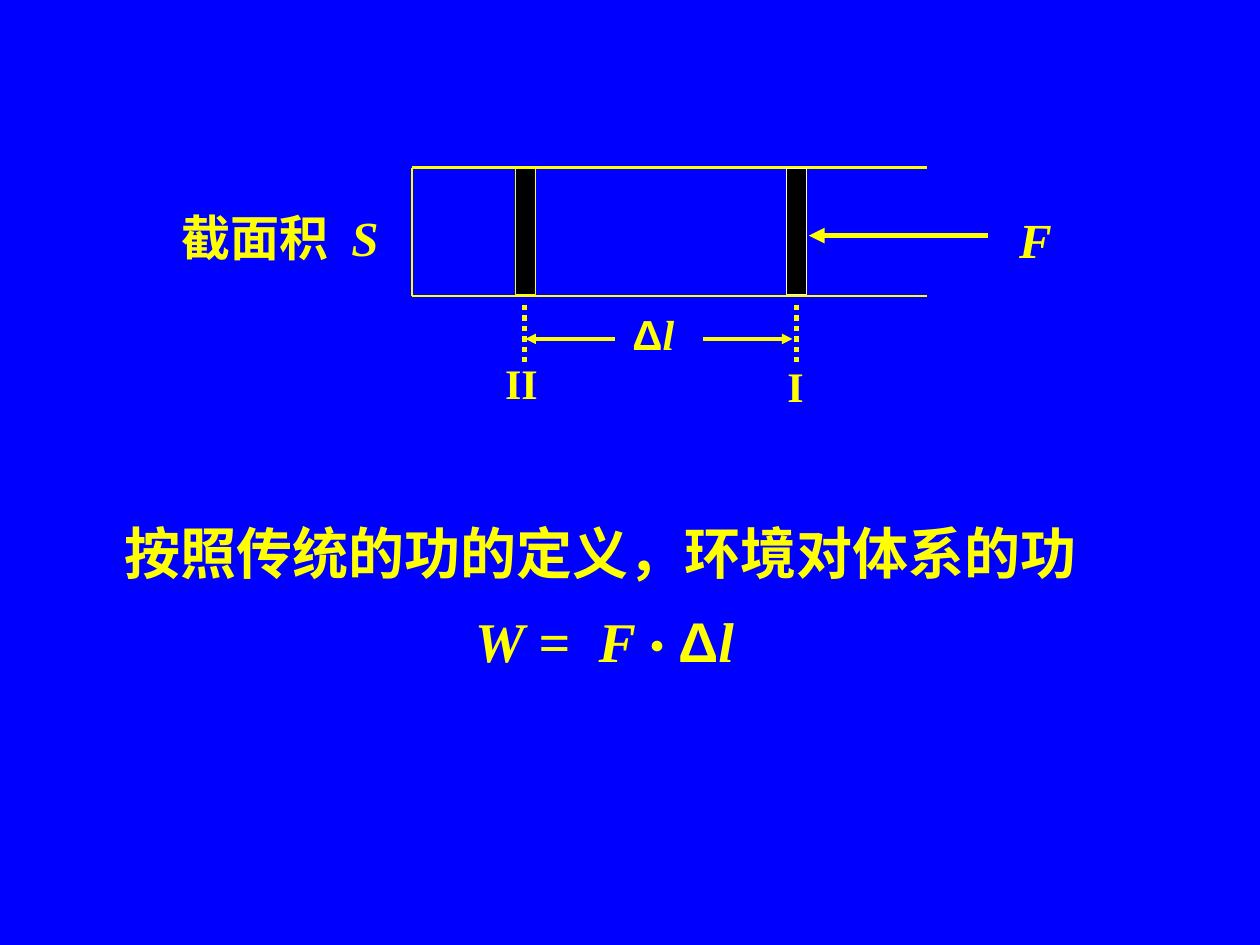
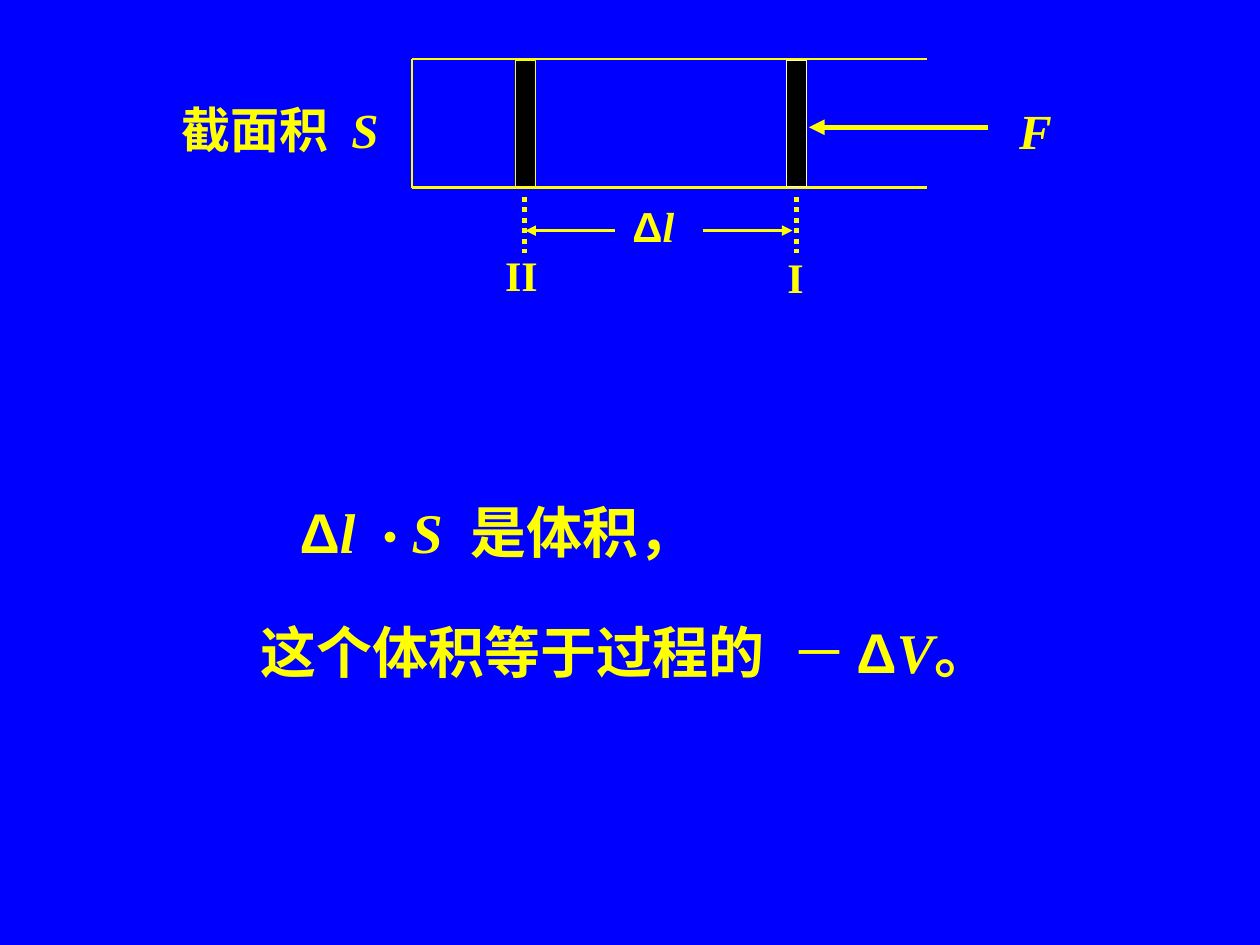
import lxml.etree
import pptx
import pptx.dml.color
import pptx.enum.dml
import pptx.enum.shapes
import pptx.enum.text
import pptx.oxml.ns
import pptx.util

COLORS = {"background": "0000FF", "ink": "FFFF00", "piston": "000000", "pale": "FFFFCC"}
SLIDE_WIDTH = pptx.util.Inches(10)
SLIDE_HEIGHT = pptx.util.Inches(7.5)
COLUMN = SLIDE_WIDTH / 100
ROW = SLIDE_HEIGHT / 75
CHINESE_FONT = "Noto Sans CJK SC"
SPACE_SHARE = 0.25
STYLES = {
    "plain": {"name": "Times New Roman", "bold": True, "italic": False},
    "light": {"name": "Times New Roman", "bold": False, "italic": False},
    "symbol": {"name": "Times New Roman", "bold": True, "italic": True},
    "delta": {"name": "Arial", "bold": True, "italic": False},
    "dot": {"name": CHINESE_FONT, "bold": True, "italic": False, "size": pptx.util.Pt(24)},
}


def rgb(name):
    """Return the named colour of the palette."""
    return pptx.dml.color.RGBColor.from_string(COLORS[name])


def set_attributes(target, values):
    """Set every attribute in a dict of format values."""
    for name, value in values.items():
        setattr(target, name, value)


def grid(left, top, width, height):
    """Turn columns and rows into slide lengths."""
    return round(left * COLUMN), round(top * ROW), round(width * COLUMN), round(height * ROW)


def add_run(paragraph, content, style, size):
    """Add a styled run; a number makes a gap of that many spaces."""
    run = paragraph.add_run()
    is_gap = not isinstance(content, str)
    run.text = " " if is_gap else content
    run.font.color.rgb = rgb("ink")
    set_attributes(run.font, {"size": pptx.util.Pt(size), **STYLES[style]})
    properties = run.font._element
    lxml.etree.SubElement(properties, pptx.oxml.ns.qn("a:ea"), typeface=CHINESE_FONT)
    if is_gap:
        properties.set("spc", str(round((content - 1) * SPACE_SHARE * size * 100)))


def add_text(shapes, box, paragraphs, size, line_spacing=1.0):
    """Add a text box from (indent in columns, runs) paragraphs."""
    frame = shapes.add_textbox(*grid(*box)).text_frame
    set_attributes(frame, {
        "word_wrap": True,
        "auto_size": pptx.enum.text.MSO_AUTO_SIZE.SHAPE_TO_FIT_TEXT,
    })
    for index, (indent, runs) in enumerate(paragraphs):
        paragraph = frame.add_paragraph() if index else frame.paragraphs[0]
        paragraph.line_spacing = line_spacing
        if indent:
            paragraph._p.get_or_add_pPr().set("marL", str(round(indent * COLUMN)))
        for content, style in runs:
            add_run(paragraph, content, style, size)


def add_line(shapes, start, end, width, dotted=False, arrow=False):
    """Add a straight line between two grid points."""
    line = shapes.add_connector(
        pptx.enum.shapes.MSO_CONNECTOR.STRAIGHT, *grid(*start, *end))
    line.line.color.rgb = rgb("ink")
    line.line.width = pptx.util.Pt(width)
    if dotted:
        line.line.dash_style = pptx.enum.dml.MSO_LINE.ROUND_DOT
    if arrow:
        lxml.etree.SubElement(
            line.line._get_or_add_ln(), pptx.oxml.ns.qn("a:tailEnd"), type="triangle")
    lxml.etree.SubElement(line._element.spPr, pptx.oxml.ns.qn("a:effectLst"))


def add_piston(shapes, box, outline):
    """Add one black piston."""
    piston = shapes.add_shape(pptx.enum.shapes.MSO_SHAPE.RECTANGLE, *grid(*box))
    piston.shadow.inherit = False
    piston.fill.solid()
    piston.fill.fore_color.rgb = rgb("piston")
    piston.line.color.rgb = rgb(outline)
    piston.line.width = pptx.util.Pt(0.75)


def add_cylinder(slide, box):
    """Draw the open cylinder, its section label and both pistons."""
    left, top, width, height = box
    right, bottom = left + width, top + height
    shapes = slide.shapes.add_group_shape().shapes
    add_text(shapes, (left - 19.3, top + 2.7, 21.6, 5.7),
             [(0, [("截面积", "plain"), (2, "plain"), ("S", "symbol")])], 28)
    for start, end in (((left, top), (right, top)),
                       ((left, bottom), (right, bottom)),
                       ((left, bottom), (left, top))):
        add_line(shapes, start, end, 1.5)
    for offset, outline in ((8.2, "ink"), (29.7, "pale")):
        add_piston(shapes, (left + offset, top + 0.1, 1.6, 10), outline)


def add_displacement(slide, box):
    """Mark the force, both piston positions and the distance between them."""
    left, top, width, height = box
    bottom = top + height
    shapes = slide.shapes.add_group_shape().shapes
    for x, y, label_width, label, style, size in (
            (6.4, 14.6, 10.1, "II", "plain", 24),
            (28.8, 14.8, 8, "I", "plain", 24),
            (47.2, 2.8, 11, "F", "symbol", 28)):
        add_text(shapes, (left + x, top + y, label_width, size / 4.8),
                 [(0, [(label, style)])], size)
    add_text(shapes, (left + 16.5, top + 10.7, 5.8, 5),
             [(0, [("Δ", "delta"), ("l", "symbol")])], 24)
    for x in (8.9, 30.5):
        add_line(shapes, (left + x, bottom + 0.7), (left + x, bottom + 5.2), 3, dotted=True)
    for start, end, y, weight in ((45.7, 31.5, 5.4, 3), (23.1, 30.2, 13.6, 2),
                                  (16.1, 9, 13.6, 2)):
        add_line(shapes, (left + start, top + y), (left + end, top + y), weight, arrow=True)


def add_piston_slide(presentation, top):
    """Add a slide with the piston diagram at the given row."""
    slide = presentation.slides.add_slide(presentation.slide_layouts[6])
    box = (32.7, top, 40.9, 10.2)
    add_cylinder(slide, box)
    add_displacement(slide, box)
    return slide


def add_work_text(slide, box):
    """Write the definition of work and its equation."""
    add_text(slide.shapes, box, [
        (0, [("按照传统的功的定义，环境对体系的功", "plain")]),
        (27.8, [("W", "symbol"), (" =", "plain"), (2, "plain"), ("F", "symbol"),
                ("•", "dot"), ("Δ", "delta"), ("l", "symbol")]),
    ], 32, 1.3)


def add_volume_text(slide, box):
    """Write the two lines that identify the volume change."""
    left, top, width, height = box
    add_text(slide.shapes, (left + 3.1, top, width - 3.1, 8), [
        (0, [("Δ", "delta"), ("l ", "symbol"), ("•", "dot"), ("S", "symbol"),
             (2, "symbol"), ("是体积，", "plain")]),
    ], 32, 1.3)
    add_text(slide.shapes, (left, top + 9.5, width, 8), [
        (0, [("这个体积等于过程的", "plain"), (6.6, "plain"), ("Δ", "delta"),
             ("V", "symbol"), ("。", "plain")]),
    ], 32, 1.3)
    add_text(slide.shapes, (left + 42.1, top + 11.1, 12.6, 6.4), [(0, [("－", "light")])], 32)


def main():
    """Build and save both slides."""
    presentation = pptx.Presentation()
    set_attributes(presentation, {"slide_width": SLIDE_WIDTH, "slide_height": SLIDE_HEIGHT})
    background = presentation.slide_master.background.fill
    background.solid()
    background.fore_color.rgb = rgb("background")
    add_work_text(add_piston_slide(presentation, 13.3), (8.9, 39.1, 86.5, 14.9))
    add_volume_text(add_piston_slide(presentation, 4.7), (19.7, 37.4, 70, 17.5))
    presentation.save("out.pptx")


if __name__ == "__main__":
    main()
